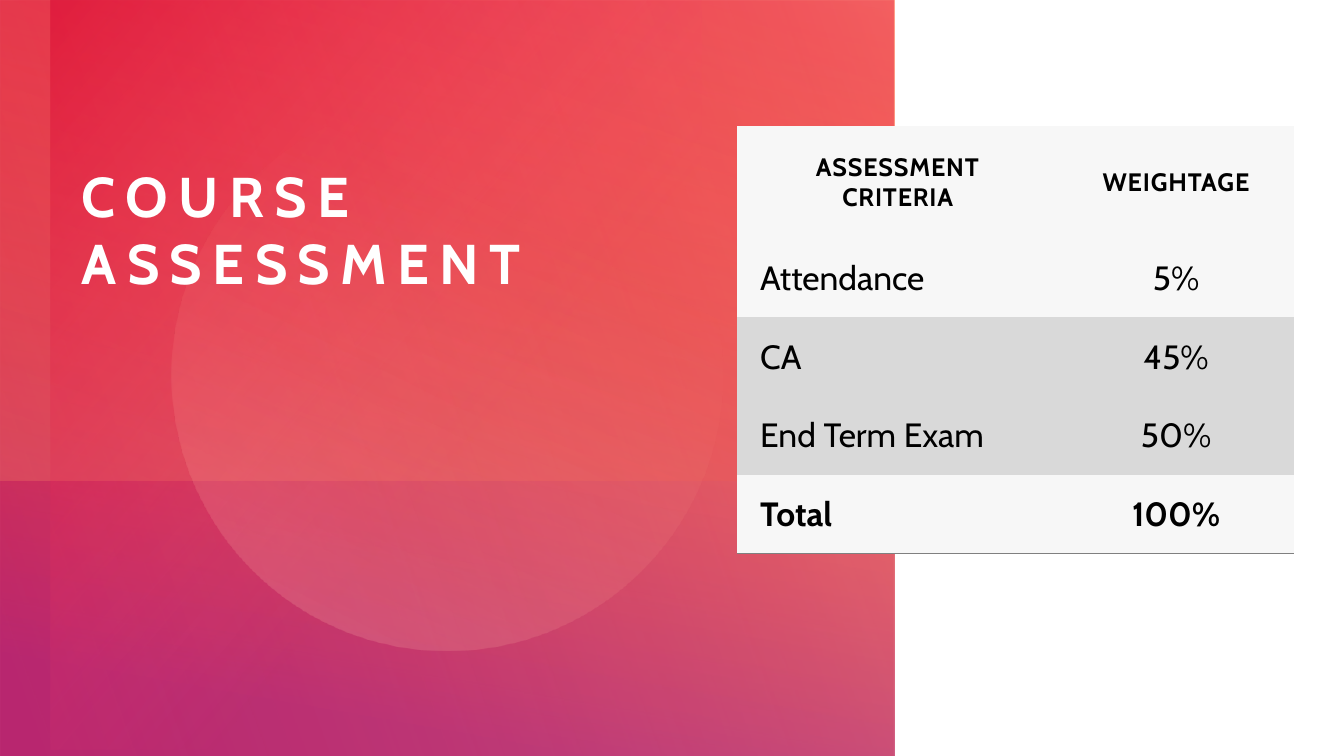
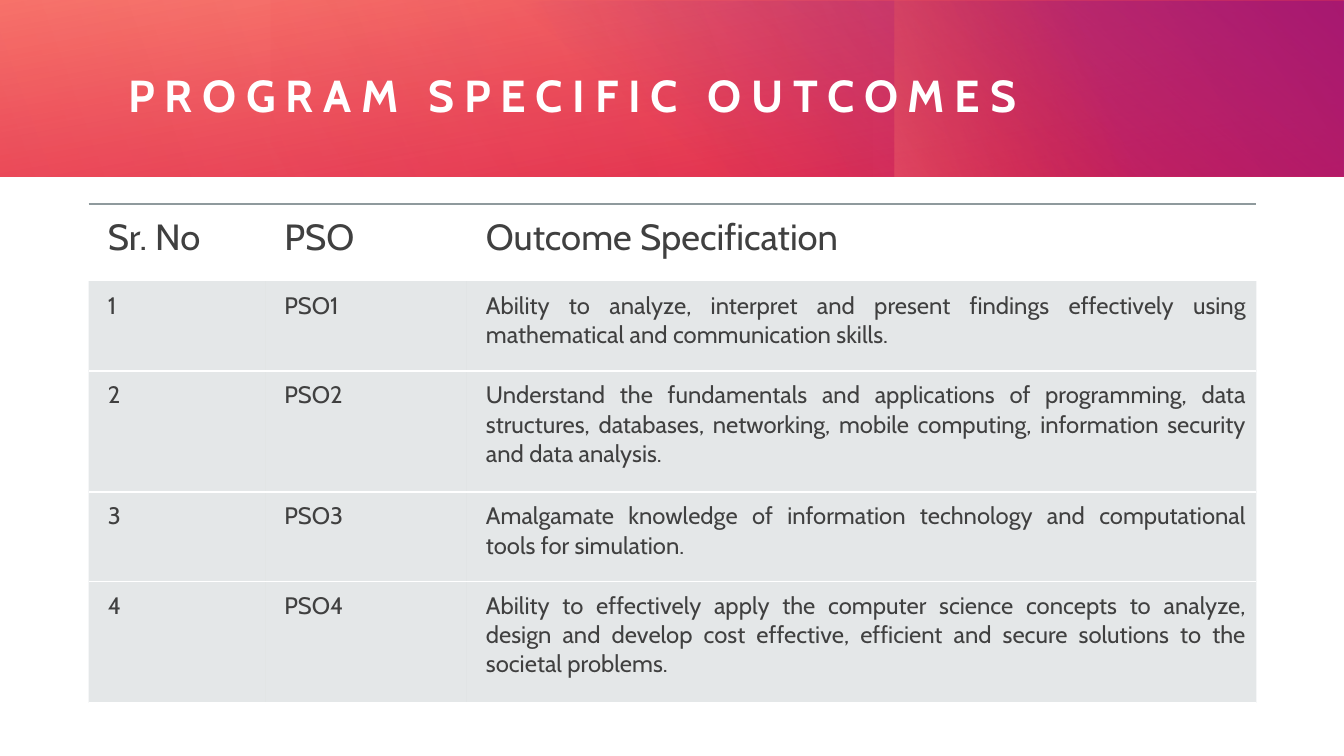
from lxml.etree import SubElement
from pptx import Presentation
from pptx.dml.color import RGBColor
from pptx.enum.shapes import MSO_SHAPE
from pptx.enum.text import MSO_ANCHOR, PP_ALIGN
from pptx.oxml.ns import qn
from pptx.util import Inches, Pt

COLORS = {
    "white": "FFFFFF", "black": "000000", "text": "404040",
    "pale": "F7F7F7", "gray": "D9D9D9", "total_line": "808080",
    "slate": "B4BCBE", "header_line": "8F9A9D",
    "red": "DA002F", "coral": "FF907A", "purple": "92248E",
    "orange": "FE4A00", "apricot": "FF9265", "pink": "FF5076", "blush": "FFBCAF",
}
FONT = "Cabin"
NO_GRID_STYLE = "{2D5ABB26-0587-4C30-8999-92F81FD0307C}"
RECT, OVAL = MSO_SHAPE.RECTANGLE, MSO_SHAPE.OVAL
LEFT, CENTER, JUSTIFY = PP_ALIGN.LEFT, PP_ALIGN.CENTER, PP_ALIGN.JUSTIFY

# Each layer: shape, box, rotation, flipped, clockwise angle, (position, color, opacity) stops
PANEL_LAYERS = [
    (RECT, (0, 0, 8.87, 7.5), 0, False, 340, [(3, "red", 83), (100, "coral", 100)]),
    (RECT, (0.69, -0.69, 7.5, 8.87), 270, True, 170, [(11, "purple", 50), (99, "orange", 0)]),
    (RECT, (2.05, -2.05, 4.76, 8.87), 90, False, 200, [(0, "apricot", 26), (92, "red", 33)]),
    (RECT, (0.01, 0.49, 7.44, 6.46), 270, False, 310, [(38, "pink", 0), (99, "red", 46)]),
    (OVAL, (1.7, 0.98, 5.47, 5.47), 286.3, False, 190, [(31, "coral", 0), (85, "blush", 23)]),
]
BANNER_LAYERS = [
    (RECT, (0, 0, 13.33, 1.75), 0, False, 260, [(0, "red", 83), (100, "coral", 100)]),
    (RECT, (4.81, 0.01, 8.52, 1.74), 0, False, 310, [(22, "purple", 0), (99, "purple", 100)]),
    (RECT, (9.87, -0.99, 1.75, 3.74), 270, False, 250, [(45, "orange", 0), (99, "coral", 33)]),
    (RECT, (2.68, 0, 10.64, 1.75), 180, False, 330, [(0, "red", 30), (99, "red", 0)]),
    (RECT, (0, 0, 8.65, 1.75), 0, False, 340, [(0, "red", 21), (99, "red", 0)]),
]

ASSESSMENT = [
    ("ASSESSMENT CRITERIA", "WEIGHTAGE"),
    ("Attendance", "5%"),
    ("CA", "45%"),
    ("End Term Exam", "50%"),
    ("Total", "100%"),
]
ASSESSMENT_FILLS = ["pale", "pale", "gray", "gray", "pale"]

OUTCOMES = [
    ("Sr. No", "PSO", "Outcome Specification"),
    ("1", "PSO1", "Ability to analyze, interpret and present findings effectively using "
     "mathematical and communication skills."),
    ("2", "PSO2", "Understand the fundamentals and applications of programming, data "
     "structures, databases, networking, mobile computing, information security "
     "and data analysis."),
    ("3", "PSO3", "Amalgamate knowledge of information technology and computational "
     "tools for simulation."),
    ("4", "PSO4", "Ability to effectively apply the computer science concepts to analyze, "
     "design and develop cost effective, efficient and secure solutions to the "
     "societal problems."),
]


def rgb(name):
    return RGBColor.from_string(COLORS[name])


def set_opacity(color_element, percent):
    if percent < 100:
        SubElement(color_element, qn("a:alpha")).set("val", str(percent * 1000))


def write(frame, text, size=17, color="text", bold=False, spacing=0, align=LEFT):
    paragraph = frame.paragraphs[0]
    paragraph.alignment = align
    run = paragraph.add_run()
    run.text = text
    run.font.name, run.font.size, run.font.bold = FONT, Pt(size), bold
    run.font.color.rgb = rgb(color)
    if spacing:
        run.font._element.set("spc", str(int(spacing * 100)))


def add_layers(slide, layers):
    for preset, box, rotation, flipped, angle, stops in layers:
        layer = slide.shapes.add_shape(preset, *map(Inches, box))
        layer.shadow.inherit = False
        layer.line.fill.background()
        layer.rotation = rotation
        if flipped:
            layer._element.spPr.find(qn("a:xfrm")).set("flipH", "1")
        layer.fill.gradient()
        layer.fill.gradient_angle = (360 - angle) % 360
        for stop, (position, color, _) in zip(layer.fill.gradient_stops, stops):
            stop.position = position / 100
            stop.color.rgb = rgb(color)
        tints = layer._element.spPr.iter(qn("a:srgbClr"))
        for tint, (_, _, opacity) in zip(list(tints), stops):
            set_opacity(tint, opacity)


def add_title(slide, text, box, anchor, size, spacing):
    frame = slide.shapes.add_textbox(*map(Inches, box)).text_frame
    frame.word_wrap = True
    frame.vertical_anchor = anchor
    frame.margin_left = frame.margin_top = frame.margin_right = frame.margin_bottom = 0
    write(frame, text, size=size, color="white", bold=True, spacing=spacing)


def add_grid(slide, rows, left, top, widths, heights):
    table = slide.shapes.add_table(
        len(rows), len(widths), Inches(left), Inches(top),
        Inches(sum(widths)), Inches(sum(heights))).table
    table.first_row = table.horz_banding = False
    table._tbl.tblPr.find(qn("a:tableStyleId")).text = NO_GRID_STYLE
    for column, width in zip(table.columns, widths):
        column.width = Inches(width)
    for row, height in zip(table.rows, heights):
        row.height = Inches(height)
    return table


def format_cell(cell, margins, fill=None, opacity=100, anchor=MSO_ANCHOR.TOP):
    (cell.margin_left, cell.margin_top,
     cell.margin_right, cell.margin_bottom) = map(Inches, margins)
    cell.vertical_anchor = anchor
    if fill:
        cell.fill.solid()
        cell.fill.fore_color.rgb = rgb(fill)
        set_opacity(next(cell._tc.tcPr.iter(qn("a:srgbClr"))), opacity)
    else:
        cell.fill.background()


def add_border(cell, side, color, width, opacity=100):
    properties = cell._tc.get_or_add_tcPr()
    line = SubElement(properties, qn(f"a:ln{side}"))
    line.set("w", str(Pt(width)))
    properties.insert(0, line)
    solid = SubElement(line, qn("a:solidFill"))
    tint = SubElement(solid, qn("a:srgbClr"))
    tint.set("val", COLORS[color])
    set_opacity(tint, opacity)


def build_assessment(slide):
    add_layers(slide, PANEL_LAYERS)
    add_title(slide, "COURSE ASSESSMENT", (0.81, 1.6, 5.86, 2.79), MSO_ANCHOR.TOP, 40, 7.5)
    table = add_grid(slide, ASSESSMENT, 7.31, 1.25, [3.19, 2.33], [1.12] + [0.78] * 4)
    last = len(ASSESSMENT) - 1
    for r, (row, fill) in enumerate(zip(ASSESSMENT, ASSESSMENT_FILLS)):
        header = r == 0
        for c, text in enumerate(row):
            cell = table.cell(r, c)
            margins = (0.23,) * 4 if header else (0.23, 0.16, 0.23, 0.15)
            format_cell(cell, margins, fill, anchor=MSO_ANCHOR.MIDDLE)
            write(cell.text_frame, text, size=18 if header else 24, color="black",
                  bold=r in (0, last), spacing=0.6 if header else 0,
                  align=CENTER if header or c else LEFT)
            if r == last:
                add_border(cell, "B", "total_line", 1)


def build_outcomes(slide):
    add_layers(slide, BANNER_LAYERS)
    add_title(slide, "PROGRAM SPECIFIC OUTCOMES", (1.27, 0.41, 11.35, 1.06),
              MSO_ANCHOR.MIDDLE, 32, 7)
    table = add_grid(slide, OUTCOMES, 0.88, 2.02, [1.75, 2, 7.83], [0.77] + [0.89, 1.2] * 2)
    for r, row in enumerate(OUTCOMES):
        for c, text in enumerate(row):
            cell = table.cell(r, c)
            if r == 0:
                format_cell(cell, (0.19, 0.12, 0.12, 0.12))
                add_border(cell, "T", "header_line", 1.5)
            else:
                format_cell(cell, (0.19, 0.1, 0.1, 0.1), "slate", 35)
                add_border(cell, "B", "white", 1.5)
            write(cell.text_frame, text, size=17 if r else 26, align=JUSTIFY)


def main():
    deck = Presentation()
    deck.slide_width, deck.slide_height = Inches(13.33), Inches(7.5)
    for build in (build_assessment, build_outcomes):
        build(deck.slides.add_slide(deck.slide_layouts[6]))
    deck.save("out.pptx")


if __name__ == "__main__":
    main()
